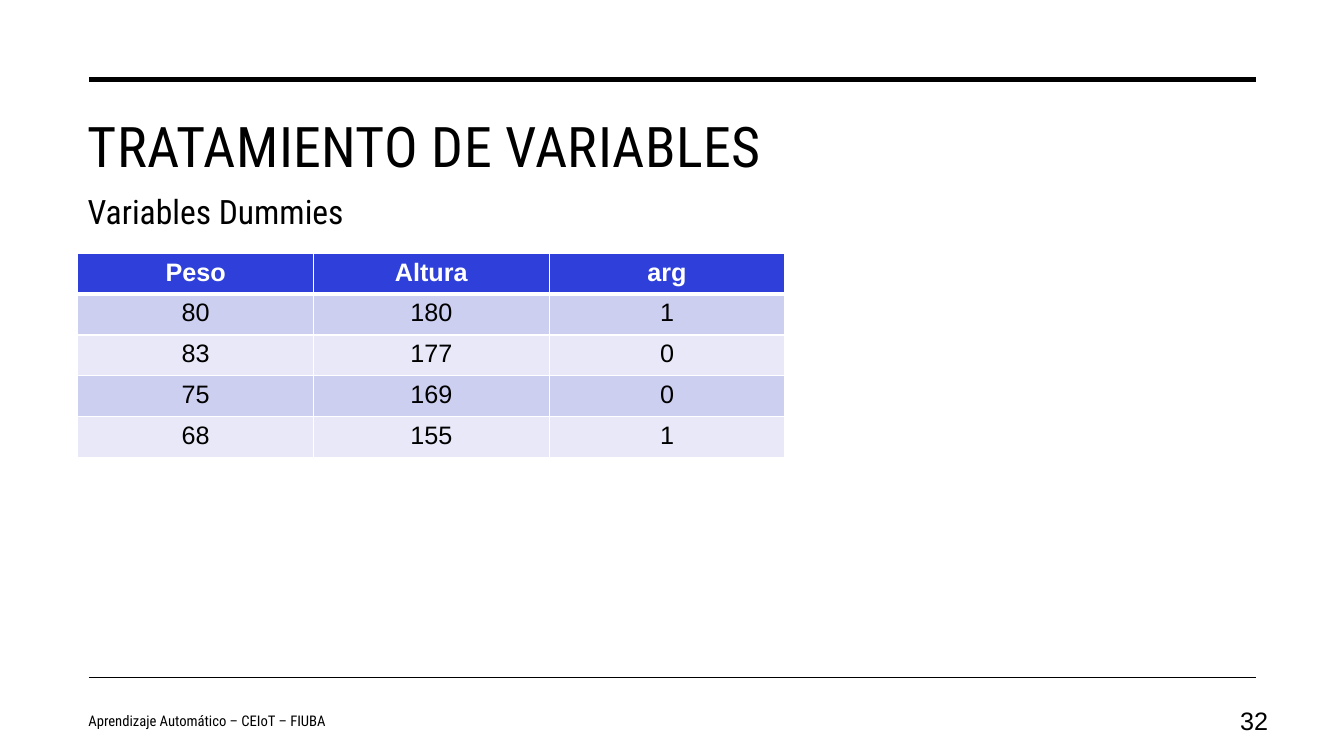
"""Build the slide on dummy variables."""
from dataclasses import dataclass

from lxml.etree import SubElement
from pptx import Presentation
from pptx.dml.color import RGBColor
from pptx.enum.shapes import MSO_CONNECTOR as Connector
from pptx.enum.text import MSO_ANCHOR as Anchor, PP_ALIGN as Align
from pptx.oxml.ns import qn
from pptx.slide import Slide
from pptx.table import _Cell as Cell
from pptx.text.text import TextFrame
from pptx.util import Cm, Pt

BLACK, WHITE = "000000", "FFFFFF"
HEADER_FILL, BAND_FILLS = "2E40D9", ("CDCFF1", "E8E8F8")
CONDENSED, SANS = "Roboto Condensed", "Arial"
COLUMN_WIDTH, ROW_HEIGHT = 5.94, 1.03
TABLE_LEFT, TABLE_TOP = 1.96, 6.38
TABLE_ROWS = (
    ("Peso", "Altura", "arg"),
    ("80", "180", "1"),
    ("83", "177", "0"),
    ("75", "169", "0"),
    ("68", "155", "1"),
)


@dataclass(frozen=True)
class Rule:
    """A horizontal line across the slide."""
    top: float
    weight: float


@dataclass(frozen=True)
class Label:
    """A text box, with its place in centimetres."""
    text: str
    left: float
    top: float
    width: float
    height: float
    size: float
    font: str = CONDENSED
    align: Align = Align.LEFT
    anchor: Anchor = Anchor.TOP
    inset_top: float = 0.13
    spacing: int = 0
    space_after: float = 0


RULES = (Rule(2.01, 3.5), Rule(17.07, 1))
LABELS = (
    Label("TRATAMIENTO DE VARIABLES", 1.96, 2.57, 29.69, 3.81, 40,
          inset_top=0.23, spacing=30),
    Label("32", 30.33, 17.65, 1.88, 1.02, 18, font=SANS,
          align=Align.RIGHT, anchor=Anchor.MIDDLE),
    Label("Variables Dummies", 1.96, 4.67, 21.36, 1.27, 24),
    Label("Aprendizaje Automático – CEIoT – FIUBA", 1.98, 17.65, 12.6, 1.02,
          10.5, anchor=Anchor.MIDDLE, space_after=6),
)


def color(value: str) -> RGBColor:
    """Turn a hex string into a colour."""
    return RGBColor.from_string(value)


def write(frame: TextFrame, text: str, *, size: float, font: str,
          fill: str = BLACK, bold: bool = False, align: Align = Align.LEFT,
          spacing: int = 0, space_after: float = 0) -> None:
    """Put one formatted paragraph in a text frame."""
    para = frame.paragraphs[0]
    para.alignment = align
    para.space_after = Pt(space_after)
    span = para.add_run()
    span.text = text
    span.font.size = Pt(size)
    span.font.name = font
    span.font.bold = bold
    span.font.color.rgb = color(fill)
    if spacing:
        span.font._element.set("spc", str(spacing))


def draw_rule(page: Slide, rule: Rule) -> None:
    """Draw a black horizontal line."""
    line = page.shapes.add_connector(
        Connector.STRAIGHT, Cm(2.24), Cm(rule.top), Cm(31.65), Cm(rule.top))
    line.line.color.rgb = color(BLACK)
    line.line.width = Pt(rule.weight)
    SubElement(line._element.spPr, qn("a:effectLst"))


def draw_label(page: Slide, label: Label) -> None:
    """Draw a text box."""
    box = page.shapes.add_textbox(
        Cm(label.left), Cm(label.top), Cm(label.width), Cm(label.height))
    frame = box.text_frame
    frame.word_wrap = True
    frame.vertical_anchor = label.anchor
    frame.margin_top = Cm(label.inset_top)
    write(frame, label.text, size=label.size, font=label.font,
          align=label.align, spacing=label.spacing,
          space_after=label.space_after)


def set_borders(cell: Cell, **weights: float) -> None:
    """Give a cell white borders, keyed by side."""
    properties = cell._tc.get_or_add_tcPr()
    for side, weight in weights.items():
        border = SubElement(properties, qn(f"a:ln{side}"), w=str(Pt(weight)))
        fill = SubElement(border, qn("a:solidFill"))
        SubElement(fill, qn("a:srgbClr"), val=WHITE)


def draw_table(page: Slide) -> None:
    """Draw the banded table of weights and heights."""
    row_count, column_count = len(TABLE_ROWS), len(TABLE_ROWS[0])
    table = page.shapes.add_table(
        row_count, column_count, Cm(TABLE_LEFT), Cm(TABLE_TOP),
        Cm(COLUMN_WIDTH * column_count), Cm(ROW_HEIGHT * row_count)).table
    for column in table.columns:
        column.width = Cm(COLUMN_WIDTH)
    for index, values in enumerate(TABLE_ROWS):
        header = index == 0
        table.rows[index].height = Cm(ROW_HEIGHT)
        for cell, value in zip(table.rows[index].cells, values):
            set_borders(cell, L=1, R=1, T=3 if index == 1 else 1,
                        B=3 if header else 1)
            cell.fill.solid()
            cell.fill.fore_color.rgb = color(
                HEADER_FILL if header else BAND_FILLS[(index - 1) % 2])
            write(cell.text_frame, value, size=18, font=SANS, bold=header,
                  fill=WHITE if header else BLACK, align=Align.CENTER)


def main() -> None:
    """Build and save the deck."""
    deck = Presentation()
    deck.slide_width, deck.slide_height = Cm(33.87), Cm(19.05)
    page = deck.slides.add_slide(deck.slide_layouts[6])
    for rule in RULES:
        draw_rule(page, rule)
    for label in LABELS:
        draw_label(page, label)
    draw_table(page)
    deck.save("out.pptx")


if __name__ == "__main__":
    main()
